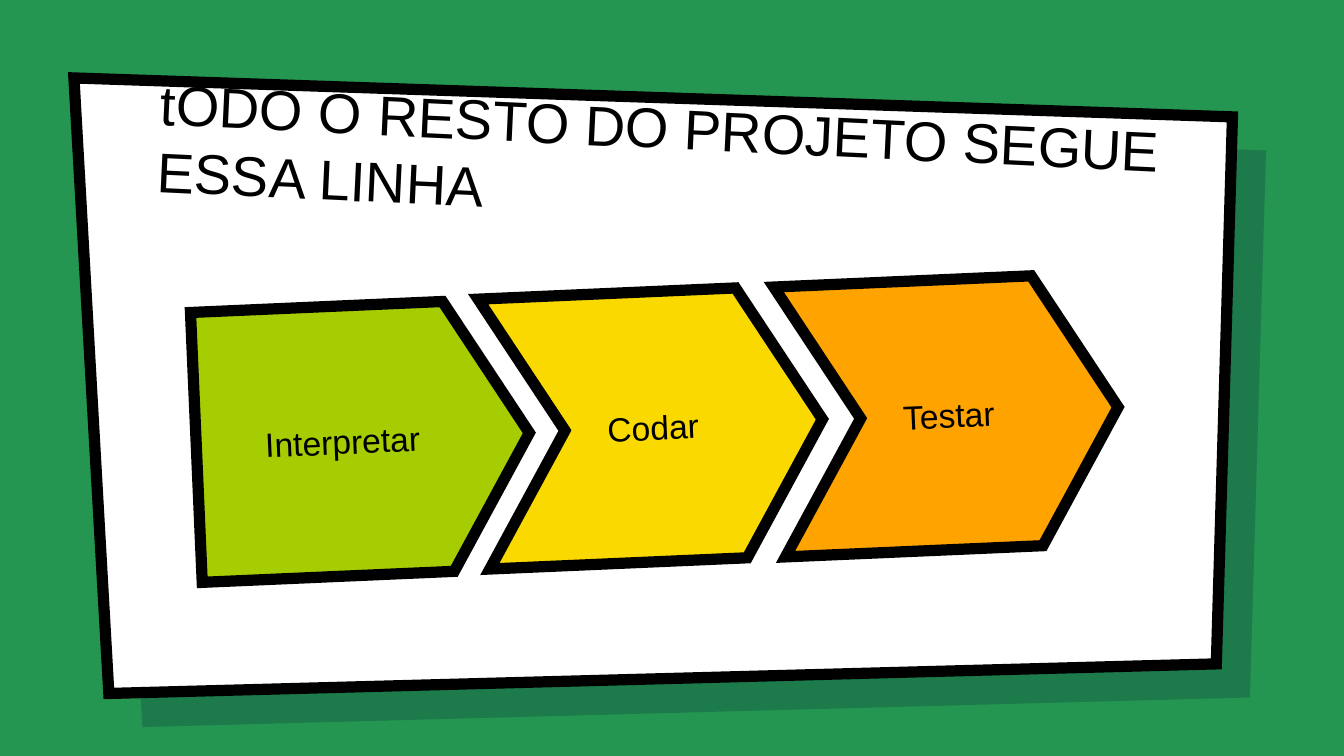
"""Build a slide with a tilted panel, a title and three process steps."""
from dataclasses import dataclass

from lxml import etree
from pptx import Presentation
from pptx.dml.color import RGBColor
from pptx.enum import shapes, text
from pptx.oxml import ns
from pptx.util import Inches, Pt

GREEN = RGBColor(0x24, 0x96, 0x51)
NAVY = RGBColor(0x00, 0x19, 0x36)
WHITE = RGBColor(0xFF, 0xFF, 0xFF)
BLACK = RGBColor(0x00, 0x00, 0x00)
LIME = RGBColor(0xA6, 0xCD, 0x02)
YELLOW = RGBColor(0xFA, 0xD9, 0x00)
ORANGE = RGBColor(0xFF, 0xA3, 0x00)

FONT = "Arial"
SLIDE_WIDTH = Inches(10)
SLIDE_HEIGHT = SLIDE_WIDTH * 9 // 16
PANEL_CORNERS = ((0.55, 0.58), (9.17, 0.87), (9.05, 4.94), (0.81, 5.16))
SHADOW_OFFSET = 0.25


@dataclass(frozen=True)
class Step:
    label: str
    preset: shapes.MSO_SHAPE
    left: float
    top: float
    width: float
    color: RGBColor


STEPS = (
    Step("Interpretar", shapes.MSO_SHAPE.PENTAGON, 1.46, 2.27, 2.48, LIME),
    Step("Codar", shapes.MSO_SHAPE.CHEVRON, 3.6, 2.17, 2.52, YELLOW),
    Step("Testar", shapes.MSO_SHAPE.CHEVRON, 5.8, 2.08, 2.52, ORANGE),
)


def fill_shape(shape, color: RGBColor) -> None:
    shape.shadow.inherit = False
    shape.fill.solid()
    shape.fill.fore_color.rgb = color


def outline_shape(shape) -> None:
    shape.line.color.rgb = BLACK
    shape.line.width = Pt(6)
    line = shape.element.spPr.find(ns.qn("a:ln"))
    etree.SubElement(line, ns.qn("a:miter"), lim="800000")


def write_text(shape, words: str, size: int, alignment: text.PP_ALIGN,
               anchor: text.MSO_ANCHOR) -> None:
    frame = shape.text_frame
    frame.word_wrap = True
    frame.auto_size = text.MSO_AUTO_SIZE.NONE
    frame.vertical_anchor = anchor
    frame.margin_left = frame.margin_right = Inches(0.1)
    frame.margin_top = frame.margin_bottom = Inches(0.1)
    paragraph = frame.paragraphs[0]
    paragraph.alignment = alignment
    run = paragraph.add_run()
    run.text = words
    run.font.name = FONT
    run.font.size = Pt(size)
    run.font.color.rgb = BLACK


def draw_panel(slide, offset: float, color: RGBColor):
    corners = [(Inches(x + offset), Inches(y + offset)) for x, y in PANEL_CORNERS]
    builder = slide.shapes.build_freeform(*corners[0])
    builder.add_line_segments(corners[1:], close=True)
    panel = builder.convert_to_shape()
    fill_shape(panel, color)
    return panel


def draw_backdrop(slide) -> None:
    shadow = draw_panel(slide, SHADOW_OFFSET, NAVY)
    shadow.line.fill.background()
    color = shadow.element.spPr.find(ns.qn("a:solidFill"))[0]
    etree.SubElement(color, ns.qn("a:alpha"), val="22000")
    outline_shape(draw_panel(slide, 0, WHITE))


def place_title(slide, words: str) -> None:
    title = slide.shapes.title
    title.element.getparent().append(title.element)
    title.left, title.top = Inches(1.07), Inches(0.96)
    title.width, title.height = Inches(7.69), Inches(0.83)
    title.rotation = 2.7
    write_text(title, words, 30, text.PP_ALIGN.LEFT, text.MSO_ANCHOR.BOTTOM)


def draw_step(slide, step: Step) -> None:
    shape = slide.shapes.add_shape(
        step.preset, Inches(step.left), Inches(step.top),
        Inches(step.width), Inches(2.01))
    shape.adjustments[0] = 0.3
    shape.rotation = 357.5
    fill_shape(shape, step.color)
    outline_shape(shape)
    write_text(shape, step.label, 18, text.PP_ALIGN.CENTER, text.MSO_ANCHOR.MIDDLE)


def main() -> None:
    presentation = Presentation()
    presentation.slide_width = SLIDE_WIDTH
    presentation.slide_height = SLIDE_HEIGHT
    slide = presentation.slides.add_slide(presentation.slide_layouts[5])
    slide.background.fill.solid()
    slide.background.fill.fore_color.rgb = GREEN
    draw_backdrop(slide)
    place_title(slide, "tODO O RESTO DO PROJETO SEGUE ESSA LINHA")
    for step in STEPS:
        draw_step(slide, step)
    presentation.save("out.pptx")


if __name__ == "__main__":
    main()
